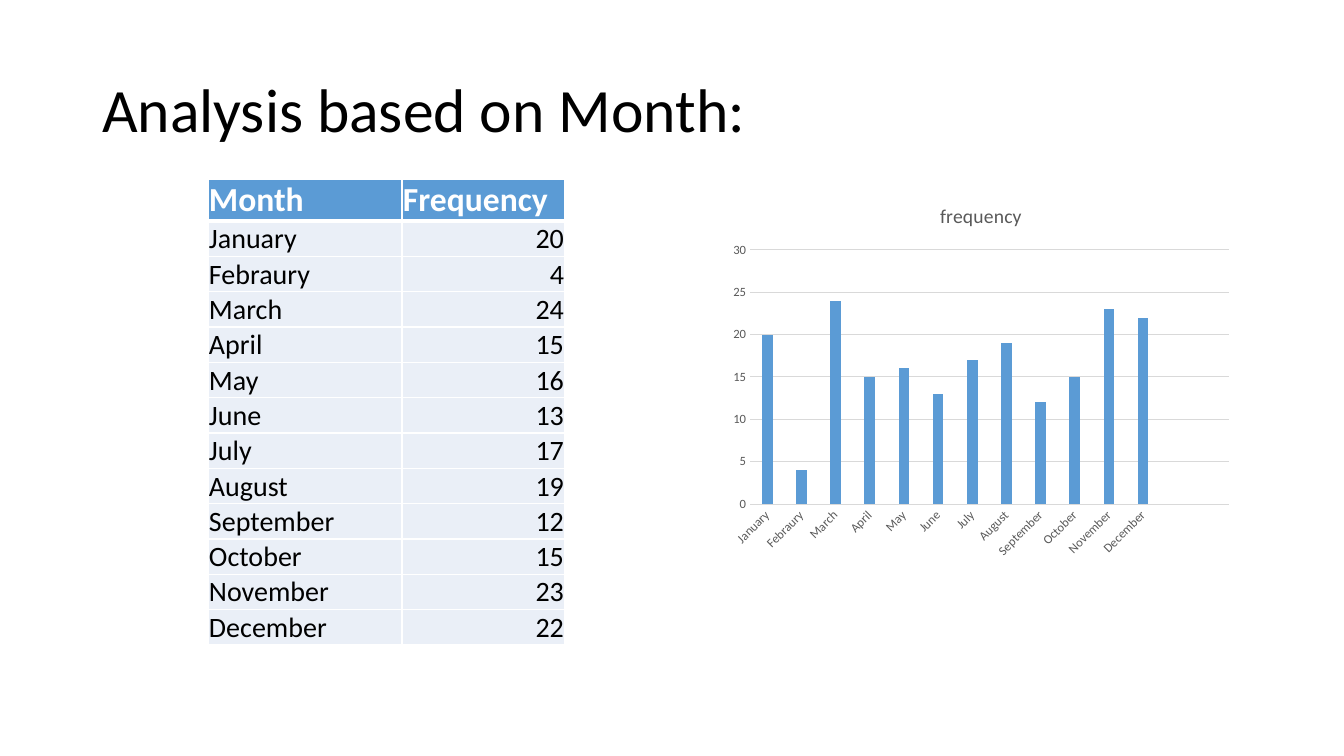
from lxml import etree
from pptx import Presentation
from pptx import util as u
from pptx.chart.data import CategoryChartData
from pptx.dml.color import RGBColor
from pptx.enum import chart as ch, text
from pptx.oxml import ns

HEADING = "Analysis based on Month:"
HEADERS = ("Month", "Frequency")
MONTHS = [
    ("January", 20), ("Febraury", 4), ("March", 24), ("April", 15),
    ("May", 16), ("June", 13), ("July", 17), ("August", 19),
    ("September", 12), ("October", 15), ("November", 23), ("December", 22),
]
EMPTY_SLOTS = 2
SERIES = "frequency"
FONT = "Calibri"
COLORS = {"ink": "000000", "white": "FFFFFF", "blue": "5B9BD5",
          "band": "EAEFF7", "label": "595959", "rule": "D9D9D9"}

PX = 914400 / 100.8
SLIDE = (1344, 756)
TITLE_BOX = (92, 40, 1159, 146)
CHART_BOX = (723, 186, 516, 380)
TABLE_AT = (208, 179)
COLUMNS = (194, 163)
HEADER_HEIGHT, ROW_HEIGHT = 40, 35


def px(*lengths):
    return [u.Emu(round(length * PX)) for length in lengths]


def color(name):
    return RGBColor.from_string(COLORS[name])


def style(font, size, name, bold=False):
    font.name, font.size, font.bold = FONT, u.Pt(size), bold
    font.color.rgb = color(name)


def rule(line):
    line.color.rgb = color("rule")
    line.width = u.Pt(0.75)


def add_borders(cell, top, bottom):
    props = cell._tc.get_or_add_tcPr()
    for side, points in (("L", 1), ("R", 1), ("T", top), ("B", bottom)):
        edge = etree.SubElement(props, ns.qn(f"a:ln{side}"), w=str(u.Pt(points)))
        fill = etree.SubElement(edge, ns.qn("a:solidFill"))
        etree.SubElement(fill, ns.qn("a:srgbClr"), val=COLORS["white"])


def add_title(slide):
    title = slide.shapes.title
    title.left, title.top, title.width, title.height = px(*TITLE_BOX)
    title.text_frame.text = HEADING
    title.text_frame.vertical_anchor = text.MSO_ANCHOR.MIDDLE
    heading = title.text_frame.paragraphs[0]
    heading.alignment = text.PP_ALIGN.LEFT
    heading.line_spacing = 0.9
    style(heading.font, 44, "ink")


def add_month_table(slide):
    rows = [HEADERS, *MONTHS]
    heights = [HEADER_HEIGHT] + [ROW_HEIGHT] * len(MONTHS)
    table = slide.shapes.add_table(
        len(rows), len(HEADERS), *px(*TABLE_AT, sum(COLUMNS), sum(heights))).table
    for column, width in zip(table.columns, px(*COLUMNS)):
        column.width = width
    for r, (row, height) in enumerate(zip(rows, px(*heights))):
        table.rows[r].height = height
        for c, value in enumerate(row):
            cell = table.cell(r, c)
            cell.text = str(value)
            cell.vertical_anchor = text.MSO_ANCHOR.BOTTOM
            cell.margin_left, cell.margin_right, cell.margin_top, cell.margin_bottom = px(1, 1, 1, 0)
            add_borders(cell, 3 if r == 1 else 1, 3 if r == 0 else 1)
            cell.fill.solid()
            cell.fill.fore_color.rgb = color("band" if r else "blue")
            entry = cell.text_frame.paragraphs[0]
            if r:
                style(entry.font, 20, "ink")
            else:
                style(entry.font, 24, "white", True)
            if r and c:
                entry.alignment = text.PP_ALIGN.RIGHT


def add_month_chart(slide):
    data = CategoryChartData()
    data.categories = [month for month, _ in MONTHS] + [""] * EMPTY_SLOTS
    data.add_series(SERIES, [count for _, count in MONTHS] + [None] * EMPTY_SLOTS)
    chart = slide.shapes.add_chart(
        ch.XL_CHART_TYPE.COLUMN_CLUSTERED, *px(*CHART_BOX), data).chart
    style(chart.font, 10, "ink")
    chart.has_legend = False
    chart.has_title = True
    chart.chart_title.include_in_layout = False
    chart.chart_title.text_frame.text = SERIES
    style(chart.chart_title.text_frame.paragraphs[0].font, 14, "label")

    plot = chart.plots[0]
    plot.gap_width, plot.overlap, plot.vary_by_categories = 219, -27, False
    bars = plot.series[0].format.fill
    bars.solid()
    bars.fore_color.rgb = color("blue")

    months, counts = chart.category_axis, chart.value_axis
    for axis in (months, counts):
        axis.major_tick_mark = axis.minor_tick_mark = ch.XL_TICK_MARK.NONE
        style(axis.tick_labels.font, 9, "label")
    months._element.txPr.bodyPr.set("rot", str(-45 * 60000))
    rule(months.format.line)
    counts.minimum_scale, counts.maximum_scale, counts.major_unit = 0, 30, 5
    counts.format.line.fill.background()
    rule(counts.major_gridlines.format.line)


def main():
    deck = Presentation()
    deck.slide_width, deck.slide_height = px(*SLIDE)
    slide = deck.slides.add_slide(deck.slide_layouts[5])
    add_title(slide)
    add_month_chart(slide)
    add_month_table(slide)
    deck.save("out.pptx")


if __name__ == "__main__":
    main()
